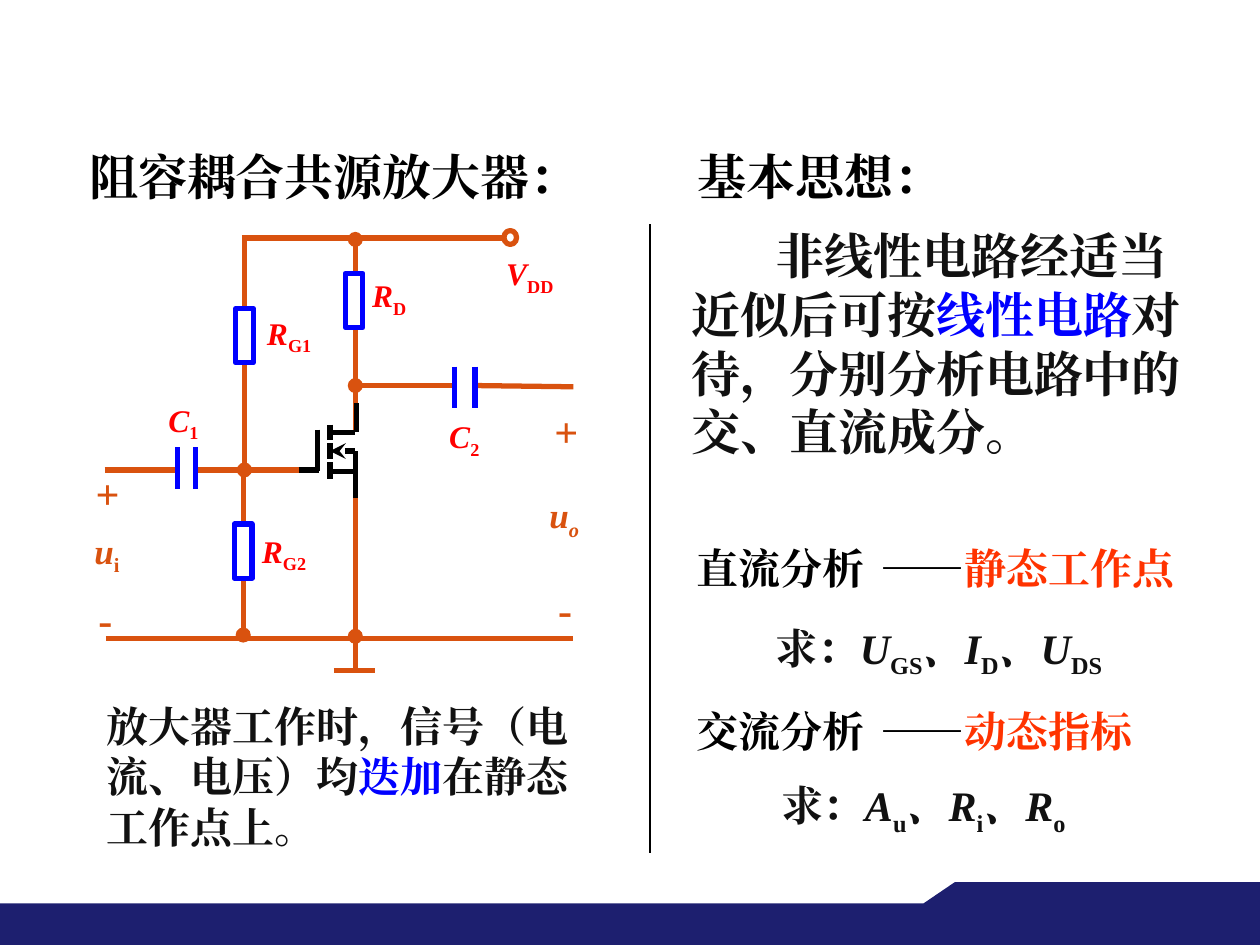
from lxml import etree
from pptx import Presentation
from pptx import util as u
from pptx.dml.color import RGBColor
from pptx.enum import shapes, text
from pptx.oxml.ns import qn

INK = RGBColor(0x11, 0x11, 0x11)
BLACK = RGBColor(0, 0, 0)
WHITE = RGBColor(255, 255, 255)
BLUE = RGBColor(0, 0, 255)
RED = RGBColor(255, 0, 0)
VIVID = RGBColor(0xFF, 0x33, 0)
WIRE = RGBColor(0xD9, 0x52, 0x0F)
NAVY = RGBColor(0x1D, 0x1F, 0x6F)
FACE = "Times New Roman"
CJK = "Noto Sans CJK SC"
SUB = {"base": -25}


def write(par, words, size=24, color=INK, face=FACE, italic=False, base=0):
    """Add one bold run; base is the baseline shift in percent."""
    run = par.add_run()
    run.text = words
    font = run.font
    font.size, font.bold, font.italic = u.Pt(size), True, italic
    font.color.rgb = color
    font.name = face
    props = run._r.get_or_add_rPr()
    etree.SubElement(props, qn("a:ea")).set("typeface", face)
    if base:
        props.set("baseline", str(base * 1000))


def put(parent, box, parts, inset=True, wrap=True, align=None, indent=0, **form):
    """Add a text box; parts are strings or (string, format) pairs."""
    item = parent.add_textbox(*map(u.Inches, box))
    frame = item.text_frame
    frame.word_wrap = wrap
    frame.auto_size = text.MSO_AUTO_SIZE.SHAPE_TO_FIT_TEXT
    if not inset:
        frame.margin_left = frame.margin_right = 0
        frame.margin_top = frame.margin_bottom = 0
    par = frame.paragraphs[0]
    par.alignment = align
    if indent:
        par._p.get_or_add_pPr().set("indent", str(u.Inches(indent)))
    for part in parts:
        words, extra = (part, {}) if isinstance(part, str) else part
        write(par, words, **{**form, **extra})


def line(parent, x1, y1, x2, y2, color=WIRE, width=3, head=None):
    """Add a straight line, with an optional arrowhead at its start."""
    item = parent.add_connector(
        shapes.MSO_CONNECTOR.STRAIGHT, *map(u.Inches, (x1, y1, x2, y2)))
    item.line.color.rgb = color
    item.line.width = u.Pt(width)
    props = item._element.spPr
    if head:
        etree.SubElement(props.find(qn("a:ln")), qn("a:headEnd")).set("type", head)
    etree.SubElement(props, qn("a:effectLst"))


def form(parent, kind, box, fill=None, edge=None):
    """Add a preset shape."""
    item = parent.add_shape(kind, *map(u.Inches, box))
    item.shadow.inherit = False
    if fill is None:
        item.fill.background()
    else:
        item.fill.solid()
        item.fill.fore_color.rgb = fill
    if edge is None:
        item.line.fill.background()
    else:
        item.line.color.rgb = edge
        item.line.width = u.Pt(3)


def band(parent):
    """Draw the footer band with its raised tab."""
    form(parent, shapes.MSO_SHAPE.RECTANGLE, (0, 7.17, 10, 0.33), NAVY)
    pen = parent.build_freeform(u.Inches(7.33), u.Inches(7.17))
    rim = ((7.58, 7), (10, 7), (10, 7.25), (7.33, 7.25))
    pen.add_line_segments([(u.Inches(x), u.Inches(y)) for x, y in rim])
    tab = pen.convert_to_shape()
    tab.shadow.inherit = False
    tab.fill.solid()
    tab.fill.fore_color.rgb = NAVY
    tab.line.fill.background()


def label(parent, x, y, wide, name, sub):
    """Name a part in red, with a subscript."""
    put(parent, (x, y, wide, 0.4), [(name, {"italic": True}), (sub, SUB)],
        wrap=False, align=text.PP_ALIGN.CENTER, size=18, color=RED)


def circuit(parent):
    # Wires
    for ends in (
        (1.92, 1.89, 4.01, 1.89), (1.94, 1.89, 1.94, 3.71),
        (2.82, 1.9, 2.82, 3.42), (2.84, 3.06, 3.63, 3.06),
        (3.77, 3.06, 4.55, 3.07), (0.83, 3.73, 1.41, 3.73),
        (1.55, 3.73, 2.46, 3.73), (1.93, 3.68, 1.93, 5.04),
        (2.82, 3.91, 2.82, 5.05), (0.84, 5.07, 4.55, 5.07),
        (2.82, 5.08, 2.82, 5.33), (2.65, 5.32, 2.98, 5.32),
    ):
        line(parent, *ends)

    # Junction dots and supply terminal
    oval = shapes.MSO_SHAPE.OVAL
    for x, y in ((2.82, 1.9), (2.82, 3.06), (1.94, 3.73), (1.93, 5.04), (2.82, 5.05)):
        form(parent, oval, (x - 0.06, y - 0.06, 0.12, 0.12), WIRE)
    form(parent, oval, (4, 1.83, 0.1, 0.11), edge=WIRE)

    # Resistors
    for x, y in ((1.86, 4.16), (2.74, 2.17), (1.87, 2.45)):
        form(parent, shapes.MSO_SHAPE.RECTANGLE, (x, y, 0.14, 0.43), WHITE, BLUE)

    # Capacitor plates
    for x, y in ((1.41, 3.55), (1.55, 3.55), (3.61, 2.91), (3.77, 2.91)):
        line(parent, x, y, x, y + 0.33, BLUE)

    # Transistor
    for ends in (
        (2.37, 3.73, 2.53, 3.73), (2.52, 3.41, 2.52, 3.74),
        (2.62, 3.37, 2.62, 3.49), (2.62, 3.52, 2.62, 3.64),
        (2.62, 3.67, 2.62, 3.8), (2.62, 3.43, 2.82, 3.43),
        (2.62, 3.74, 2.82, 3.74), (2.82, 3.58, 2.82, 3.95),
        (2.83, 3.43, 2.83, 3.2),
    ):
        line(parent, *ends, BLACK)
    line(parent, 2.62, 3.58, 2.82, 3.58, BLACK, head="stealth")

    # Part names
    for spot in (
        (1.96, 4.17, 0.59, "R", "G2"), (2, 2.44, 0.59, "R", "G1"),
        (2.84, 2.14, 0.5, "R", "D"), (3.89, 1.97, 0.63, "V", "DD"),
        (1.23, 3.13, 0.45, "C", "1"), (3.46, 3.26, 0.45, "C", "2"),
    ):
        label(parent, *spot)

    # Input and output voltages
    for x, y, sign in ((0.76, 3.71, "+"), (0.78, 4.71, "-"),
                       (4.4, 3.22, "+"), (4.43, 4.63, "-")):
        put(parent, (x, y, 0.22, 0.4), [sign], inset=False, color=WIRE)
    for x, y, sub, slant in ((0.75, 4.2, "i", False), (4.36, 3.92, "o", True)):
        put(parent, (x, y, 0.27, 0.33),
            [("u", {"italic": True}), (sub, {**SUB, "italic": slant})],
            inset=False, size=20, color=WIRE)


def topic(parent, y, name, goal):
    """Pair a kind of analysis with its goal."""
    put(parent, (5.43, y, 1.94, 0.5), [name], color=BLACK)
    put(parent, (6.89, y, 2.85, 0.5),
        [("——", {"face": CJK, "color": BLACK}), goal], color=VIVID)


def seek(parent, x, y, wide, *terms):
    """List the quantities to solve for."""
    parts = ["求："]
    for i, (name, sub) in enumerate(terms):
        parts += [("、" * (i > 0) + name, {"italic": True}), (sub, SUB)]
    put(parent, (x, y, wide, 0.5), parts)


def main():
    deck = Presentation()
    deck.slide_width, deck.slide_height = u.Inches(10), u.Inches(7.5)
    page = deck.slides.add_slide(deck.slide_layouts[6]).shapes
    band(page)

    # Headings and divider
    for x, wide, words in ((0.61, 4.23, "阻容耦合共源放大器："),
                           (5.44, 2.33, "基本思想：")):
        put(page, (x, 1.11, wide, 0.57), [words], size=28, color=BLACK)
    line(page, 5.16, 1.78, 5.16, 6.77, BLACK, 0.75)

    # Left side
    circuit(page.add_group_shape().shapes)
    put(page, (0.75, 5.51, 4.09, 1.3),
        ["放大器工作时，信号（电流、电压）均", ("迭加", {"color": BLUE}),
         "在静态工作点上。"])

    # Right side
    put(page, (5.39, 1.74, 4.22, 1.99),
        ["非线性电路经适当近似后可按", ("线性电路", {"color": BLUE}),
         "对待，分别分析电路中的交、直流成分。"], size=28, indent=0.67)
    topic(page, 4.26, "直流分析", "静态工作点")
    seek(page, 6.06, 4.89, 3.75, ("U", "GS"), ("I", "D"), ("U", "DS"))
    topic(page, 5.55, "交流分析", "动态指标")
    seek(page, 6.1, 6.14, 3.11, ("A", "u"), ("R", "i"), ("R", "o"))

    deck.save("out.pptx")


if __name__ == "__main__":
    main()
